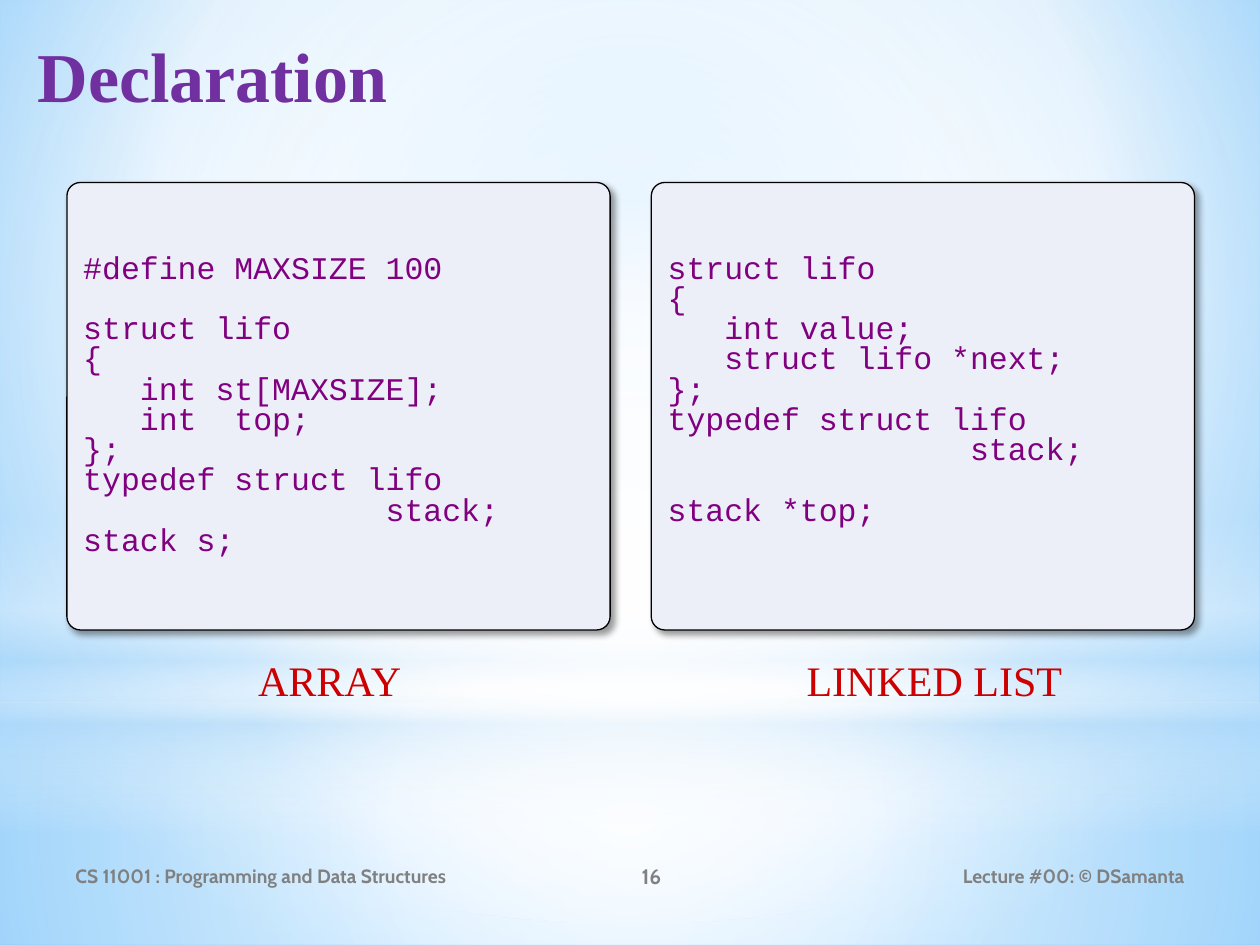
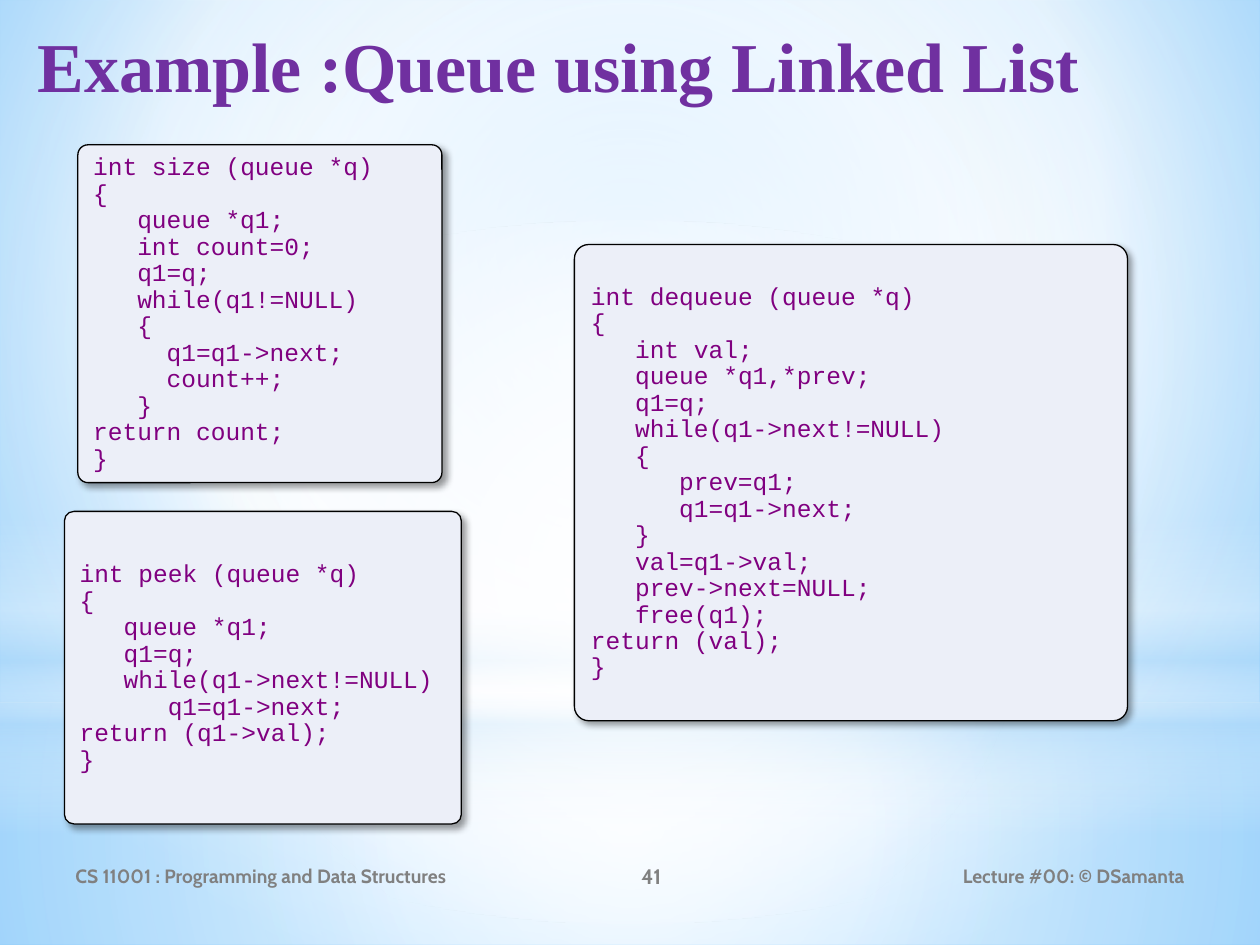
from lxml.etree import SubElement
from pptx import Presentation
from pptx.dml.color import RGBColor
from pptx.enum.shapes import MSO_SHAPE as Preset
from pptx.enum.text import MSO_ANCHOR as Anchor, PP_ALIGN as Align
from pptx.oxml.ns import qn
from pptx.util import Cm, Pt

colour = RGBColor.from_string

# Shared look
TITLE_COLOUR, CODE_COLOUR = "7030A0", "800080"
CAPTION_COLOUR, FOOTER_COLOUR = "CC0000", "808080"
CARD_FILL, CARD_LINE = "ECEFF8", "000000"
SERIF, MONO, SANS = "Times New Roman", "Courier New", "Cabin"
CENTRE = (50, 50, 50, 50)
CHARACTER_WIDTH = 0.6  # of the size, in the code font
LINE_HEIGHT = 1.2


def fill_gradient(properties, stops, focus=None):
    """Replace a solid fill by a gradient: circular with a focus, else downward."""
    solid = properties.find(qn("a:solidFill"))
    gradient = solid.makeelement(qn("a:gradFill"), {"rotWithShape": "1"})
    stop_list = SubElement(gradient, qn("a:gsLst"))
    for position, hex_code, opacity in stops:
        stop = SubElement(stop_list, qn("a:gs"), pos=str(position * 1000))
        tint = SubElement(stop, qn("a:srgbClr"), val=hex_code)
        SubElement(tint, qn("a:alpha"), val=str(opacity * 1000))
    if focus:
        circle = SubElement(gradient, qn("a:path"), path="circle")
        sides = {side: str(share * 1000) for side, share in zip("ltrb", focus)}
        SubElement(circle, qn("a:fillToRect"), sides)
    else:
        SubElement(gradient, qn("a:lin"), ang="5400000", scaled="0")
    properties.replace(solid, gradient)


def add_label(slide, box, text, font, size, hex_code, bold=False,
              align=Align.LEFT, anchor=Anchor.TOP):
    """Add a text box with one line of text."""
    label = slide.shapes.add_textbox(*map(Cm, box))
    frame = label.text_frame
    frame.word_wrap = True
    frame.vertical_anchor = anchor
    paragraph = frame.paragraphs[0]
    paragraph.alignment = align
    run = paragraph.add_run()
    run.text = text
    run.font.name, run.font.size, run.font.bold = font, Pt(size), bold
    run.font.color.rgb = colour(hex_code)


# Code on the cards
ARRAY_CODE = """#define MAXSIZE 100

struct lifo
{
   int st[MAXSIZE];
   int  top;
};
typedef struct lifo
                stack;
stack s;"""

LIST_CODE = """struct lifo
{
   int value;
   struct lifo *next;
};
typedef struct lifo
                stack;

stack *top;
"""

SIZE_CODE = """int size (queue *q)
{
   queue *q1;
   int count=0;
   q1=q;
   while(q1!=NULL)
   {
     q1=q1->next;
     count++;
   }
return count;
}"""

PEEK_CODE = """int peek (queue *q)
{
   queue *q1;
   q1=q;
   while(q1->next!=NULL)
      q1=q1->next;
return (q1->val);
}"""

DEQUEUE_CODE = """int dequeue (queue *q)
{
   int val;
   queue *q1,*prev;
   q1=q;
   while(q1->next!=NULL)
   {
      prev=q1;
      q1=q1->next;
   }
   val=q1->val;
   prev->next=NULL;
   free(q1);
return (val);
}"""

# Slides: boxes are left, top, width, height in centimetres
SLIDES = [
    {"title": "Declaration", "title_top": 0.53, "number": "16",
     "size": 18, "spacing": 0.8,
     "cards": [((1.35, 3.68, 10.95, 9.02), ARRAY_CODE),
               ((13.13, 3.68, 10.95, 9.02), LIST_CODE)],
     "captions": [((4.32, 13.06, 4.65, 1.27), "ARRAY"),
                  ((14.81, 13.06, 8.05, 1.27), "LINKED LIST")]},
    {"title": "Example :Queue using Linked List", "title_top": 0.33, "number": "41",
     "size": 14, "spacing": 0.9,
     "cards": [((1.57, 2.92, 7.34, 6.81), SIZE_CODE),
               ((1.3, 10.31, 8, 6.3), PEEK_CODE),
               ((11.58, 4.93, 11.15, 9.6), DEQUEUE_CODE)],
     "captions": []},
]

presentation = Presentation()
presentation.slide_width, presentation.slide_height = Cm(25.4), Cm(19.05)
blank = presentation.slide_layouts[6]
slides = [presentation.slides.add_slide(blank) for _ in SLIDES]

# Background of the master
master = presentation.slide_master
master.background.fill.solid()
fill_gradient(master.element.find(".//" + qn("p:bgPr")),
              [(0, "9ED5FF", 100), (60, "FFFFFF", 100), (100, "5BB9FF", 100)],
              (20, 10, 20, 60))

# Light bands and glow, drawn on a slide and moved to the master
BANDS = [
    (Preset.RECTANGLE, 14.17, 4.88, CENTRE,
     [(0, "FFFFFF", 91), (37, "FFFFFF", 76), (100, "B4DCFA", 79)]),
    (Preset.RECTANGLE, 0, 14.17, CENTRE,
     [(0, "FFFFFF", 89), (48, "FFFFFF", 62), (100, "B4DCFA", 79)]),
    (Preset.RECTANGLE, 10.46, 6.35, None,
     [(0, "FFFFFF", 0), (29, "FFFFFF", 30), (45, "B4DCFA", 40),
      (55, "FFFFFF", 26), (65, "B4DCFA", 60), (100, "FFFFFF", 0)]),
    (Preset.OVAL, 4.45, 14.17, CENTRE,
     [(0, "FFFFFF", 100), (56, "FFFFFF", 0)]),
]
for number, (preset, top, height, focus, stops) in enumerate(BANDS, start=20):
    band = slides[0].shapes.add_shape(preset, 0, Cm(top), Cm(25.4), Cm(height))
    band.shadow.inherit = False
    band.line.fill.background()
    band.fill.solid()
    fill_gradient(band.element.spPr, stops, focus)
    band.element.nvSpPr.cNvPr.set("id", str(number))
    master.shapes.element.append(band.element)

for slide, content in zip(slides, SLIDES):
    # Title
    add_label(slide, (0.51, content["title_top"], 24.21, 3.18), content["title"],
              SERIF, 40, TITLE_COLOUR, bold=True)

    # Footer
    for left, width, text, size, align in [
            (1.27, 9.32, "CS 11001 : Programming and Data Structures", 11, Align.LEFT),
            (10.59, 5.08, content["number"], 12, Align.CENTER),
            (17.15, 6.98, "Lecture #00: © DSamanta", 11, Align.RIGHT)]:
        add_label(slide, (left, 17.15, width, 1.02), text, SANS, size,
                  FOOTER_COLOUR, bold=True, align=align, anchor=Anchor.MIDDLE)

    # Code cards
    size, spacing = content["size"], content["spacing"]
    line_pitch = Pt(size * spacing * LINE_HEIGHT)
    for box, code in content["cards"]:
        card = slide.shapes.add_shape(Preset.ROUNDED_RECTANGLE, *map(Cm, box))
        card.adjustments[0] = 0.03
        card.fill.solid()
        card.fill.fore_color.rgb = colour(CARD_FILL)
        card.line.color.rgb = colour(CARD_LINE)
        card.line.width = Pt(0.75)
        card.shadow.inherit = False
        effects = card.element.spPr.find(qn("a:effectLst"))
        shadow = SubElement(effects, qn("a:outerShdw"), blurRad=str(Pt(4)),
                            dist=str(Pt(3)), dir="2700000", algn="tl", rotWithShape="0")
        shade = SubElement(shadow, qn("a:srgbClr"), val=CARD_LINE)
        SubElement(shade, qn("a:alpha"), val="40000")

        frame = card.text_frame
        frame.word_wrap = True
        frame.vertical_anchor = Anchor.MIDDLE
        paragraph, gap = frame.paragraphs[0], 0
        for index, line in enumerate(code.split("\n")):
            text = line.lstrip()
            if not text:  # an empty line becomes space
                gap = line_pitch
                continue
            if index:
                paragraph = frame.add_paragraph()
            paragraph.alignment = Align.LEFT
            paragraph.line_spacing = spacing
            paragraph.space_before = gap
            indent = Pt((len(line) - len(text)) * CHARACTER_WIDTH * size)
            paragraph._p.get_or_add_pPr().set("marL", str(indent))
            run = paragraph.add_run()
            run.text = text
            run.font.name, run.font.size = MONO, Pt(size)
            run.font.color.rgb = colour(CODE_COLOUR)
            gap = 0
        frame.margin_bottom += gap

    # Captions under the cards
    for box, text in content["captions"]:
        add_label(slide, box, text, SERIF, 24, CAPTION_COLOUR, align=Align.CENTER)

presentation.save("out.pptx")
